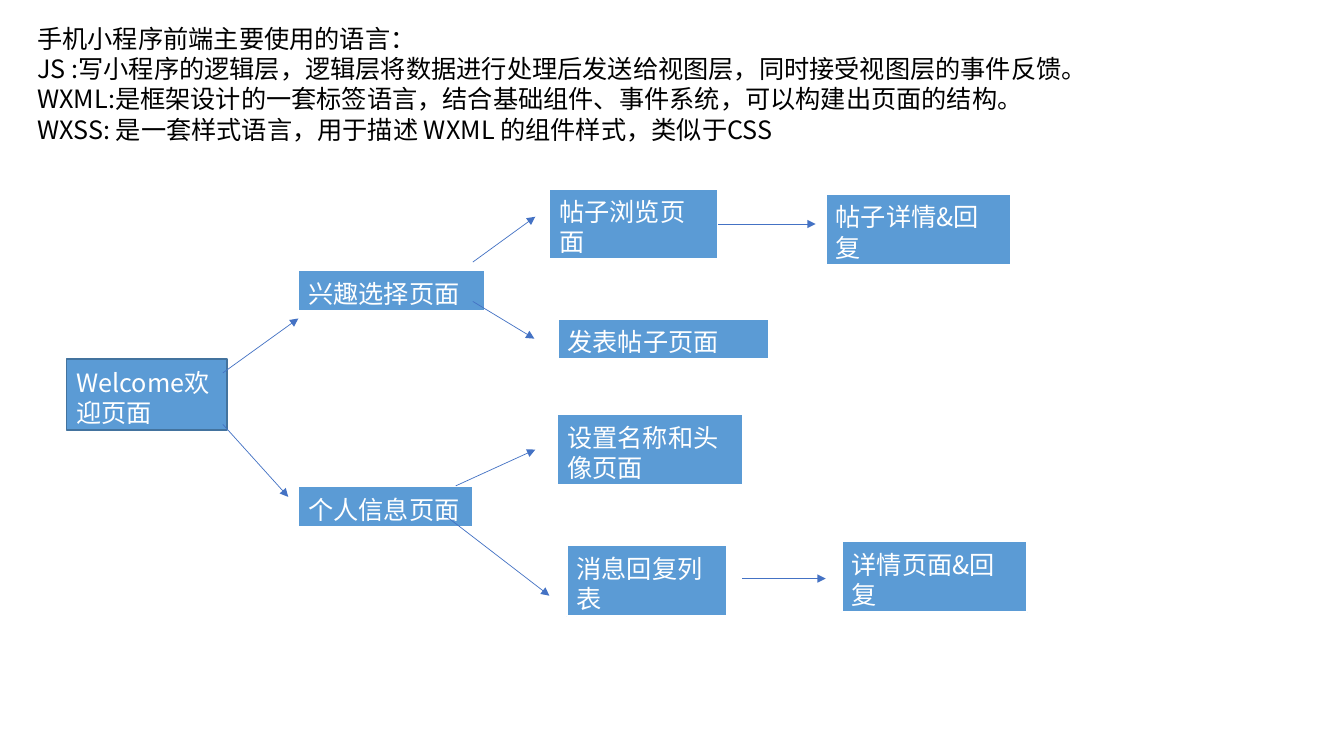
"""Build the slide on mini-program front-end languages and its page flow."""
from dataclasses import dataclass
from typing import Optional

import lxml.etree
import pptx
import pptx.dml.color
import pptx.enum.shapes
import pptx.enum.text
import pptx.oxml.ns
import pptx.util

SLIDE_WIDTH = pptx.util.Inches(13.33)
SLIDE_HEIGHT = pptx.util.Inches(7.5)
GRID = 100
LINE_ROWS = 4
PADDING_ROWS = 1.4
FONT = "Noto Sans CJK SC"
BLACK, WHITE = "000000", "FFFFFF"
PAGE_BLUE, EDGE_BLUE, ARROW_BLUE = "5B9BD5", "43739E", "4472C4"

INTRO = (
    "手机小程序前端主要使用的语言：",
    "JS :写小程序的逻辑层，逻辑层将数据进行处理后发送给视图层，同时接受视图层的事件反馈。",
    "WXML:是框架设计的一套标签语言，结合基础组件、事件系统，可以构建出页面的结构。",
    "WXSS: 是一套样式语言，用于描述 WXML 的组件样式，类似于CSS",
)


@dataclass(frozen=True)
class Page:
    """A page of the app, placed in grid columns and rows."""
    label: str
    column: float
    row: float
    columns: float
    lines: int = 2
    edge: str = WHITE
    edge_width: float = 1.5


@dataclass(frozen=True)
class Step:
    """An arrow between grid points, optionally leaving a page's right side."""
    start: tuple[float, float]
    end: tuple[float, float]
    source: Optional[str] = None


PAGES = (
    Page("Welcome欢迎页面", 4.95, 47.47, 11.93, edge=EDGE_BLUE, edge_width=1),
    Page("兴趣选择页面", 22.2, 35.73, 13.88, lines=1),
    Page("个人信息页面", 22.2, 64.27, 12.98, lines=1),
    Page("帖子浏览页面", 40.88, 24.93, 12.53),
    Page("发表帖子页面", 41.48, 42.13, 15.75, lines=1),
    Page("设置名称和头像页面", 41.48, 54.8, 13.8),
    Page("消息回复列表", 42.16, 72.13, 11.93),
    Page("详情页面&回复", 62.64, 71.6, 13.8),
    Page("帖子详情&回复", 61.44, 25.6, 13.8),
)

STEPS = (
    Step((16.58, 49.33), (22.2, 42.13)),
    Step((16.58, 56.13), (21.45, 65.73)),
    Step((35.18, 34.67), (39.83, 28.67)),
    Step((35.18, 39.87), (39.76, 44.8)),
    Step((33.91, 64.27), (39.83, 59.47)),
    Step((33.08, 68.13), (40.88, 78.8)),
    Step((53.41, 29.63), (60.69, 29.63), source="帖子浏览页面"),
    Step((55.21, 76.53), (61.44, 76.53)),
)


def x(columns: float) -> int:
    """Return the length of a number of grid columns."""
    return round(SLIDE_WIDTH * columns / GRID)


def y(rows: float) -> int:
    """Return the length of a number of grid rows."""
    return round(SLIDE_HEIGHT * rows / GRID)


def colour(hex_value: str) -> pptx.dml.color.RGBColor:
    """Turn a hex string into a colour."""
    return pptx.dml.color.RGBColor.from_string(hex_value)


def add_element(parent, tag: str, **attributes: str):
    """Append a DrawingML element to a parent."""
    return lxml.etree.SubElement(parent, pptx.oxml.ns.qn(tag), **attributes)


def write(frame, text: str, hex_value: str) -> None:
    """Fill a text frame with evenly spaced, left-aligned lines."""
    frame.text = text
    frame.word_wrap = True
    frame.auto_size = pptx.enum.text.MSO_AUTO_SIZE.NONE
    frame.vertical_anchor = pptx.enum.text.MSO_ANCHOR.TOP
    frame.margin_left = frame.margin_right = pptx.util.Inches(0.1)
    frame.margin_top = pptx.util.Inches(0.08)
    frame.margin_bottom = pptx.util.Inches(0.02)
    for paragraph in frame.paragraphs:
        paragraph.alignment = pptx.enum.text.PP_ALIGN.LEFT
        paragraph.line_spacing = pptx.util.Pt(21.6)
        paragraph.space_before = pptx.util.Pt(0)
        for run in paragraph.runs:
            run.font.size = pptx.util.Pt(18)
            run.font.name = FONT
            run.font.color.rgb = colour(hex_value)
            add_element(run.font._element, "a:ea", typeface=FONT)


def add_intro(slide) -> None:
    """Write the list of languages in the body placeholder."""
    title = slide.shapes.title
    title._element.getparent().remove(title._element)
    body = slide.placeholders[1]
    body.left, body.top, body.width, body.height = x(2.03), y(2), x(82.37), y(17.47)
    write(body.text_frame, "\n".join(INTRO), BLACK)
    for paragraph in body.text_frame.paragraphs:
        properties = paragraph._p.get_or_add_pPr()
        properties.set("marL", "0")
        properties.set("indent", "0")
        add_element(properties, "a:buNone")


def add_page(slide, page: Page):
    """Draw one page box and return it."""
    box = slide.shapes.add_shape(
        pptx.enum.shapes.MSO_SHAPE.RECTANGLE, x(page.column), y(page.row),
        x(page.columns), y(page.lines * LINE_ROWS + PADDING_ROWS))
    box.shadow.inherit = False
    box.fill.solid()
    box.fill.fore_color.rgb = colour(PAGE_BLUE)
    box.line.color.rgb = colour(page.edge)
    box.line.width = pptx.util.Pt(page.edge_width)
    write(box.text_frame, page.label, WHITE)
    return box


def add_step(slide, step: Step, boxes: dict) -> None:
    """Draw one arrow of the page flow."""
    arrow = slide.shapes.add_connector(
        pptx.enum.shapes.MSO_CONNECTOR.STRAIGHT,
        x(step.start[0]), y(step.start[1]), x(step.end[0]), y(step.end[1]))
    if step.source:
        arrow.begin_connect(boxes[step.source], 3)
    arrow.line.color.rgb = colour(ARROW_BLUE)
    arrow.line.width = pptx.util.Pt(0.5)
    add_element(arrow.line._get_or_add_ln(), "a:tailEnd", type="triangle")
    add_element(arrow._element.spPr, "a:effectLst")


def main() -> None:
    """Build and save the presentation."""
    presentation = pptx.Presentation()
    presentation.slide_width = SLIDE_WIDTH
    presentation.slide_height = SLIDE_HEIGHT
    slide = presentation.slides.add_slide(presentation.slide_layouts[1])
    add_intro(slide)
    boxes = {page.label: add_page(slide, page) for page in PAGES}
    for step in STEPS:
        add_step(slide, step, boxes)
    presentation.save("out.pptx")


if __name__ == "__main__":
    main()
